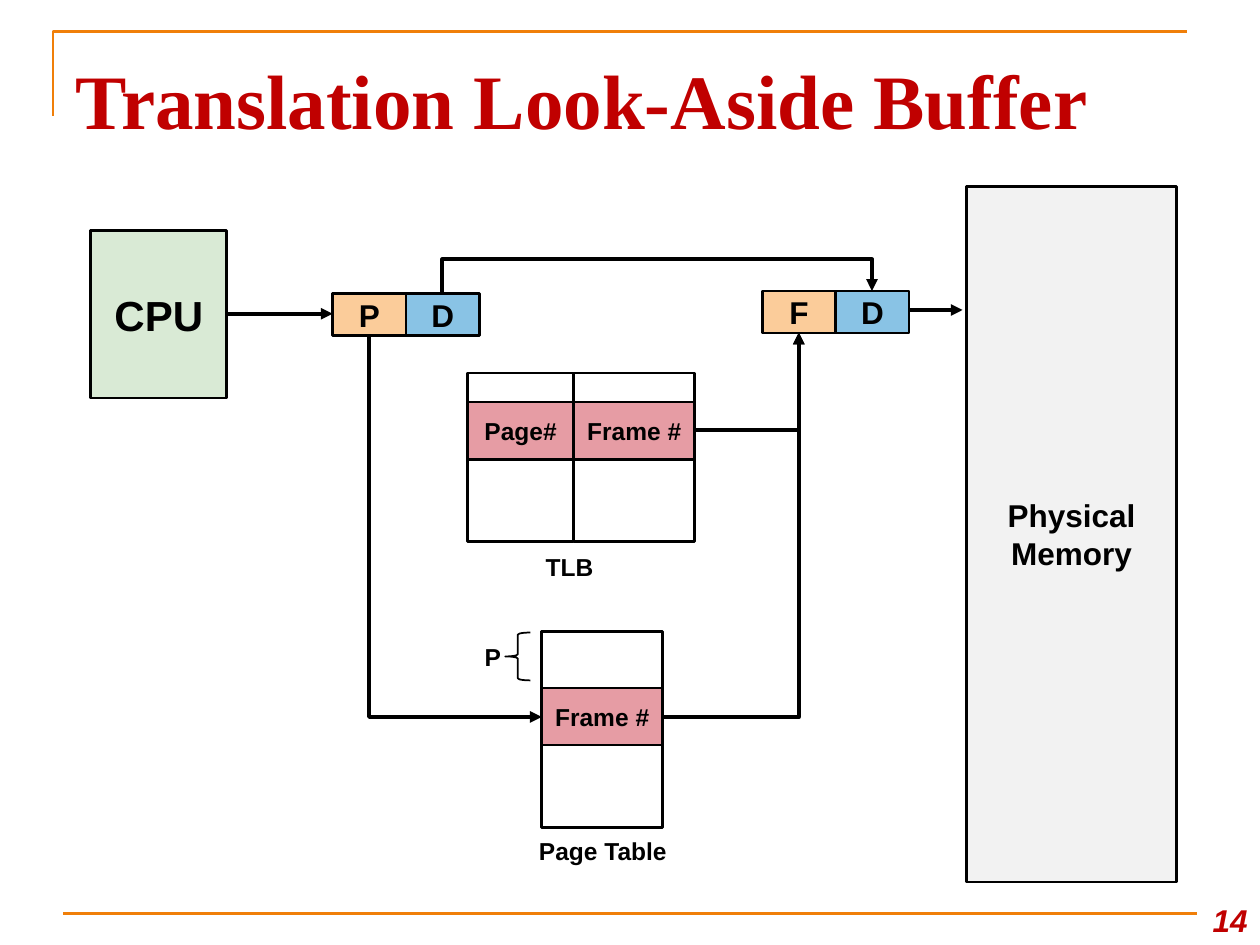
from lxml.etree import SubElement
from pptx import Presentation
from pptx.dml.color import RGBColor
from pptx.enum.shapes import MSO_CONNECTOR as Conn, MSO_SHAPE as Shape
from pptx.enum.text import MSO_ANCHOR as Anchor, PP_ALIGN as Align
from pptx.oxml.ns import qn
from pptx.util import Inches, Pt

BLACK, WHITE, RED, ORANGE = "000000", "FFFFFF", "C00000", "F07F09"
PEACH, BLUE, PINK, GREEN, GRAY = "FBCC9A", "89C3E5", "E69CA4", "D9EAD5", "F2F2F2"


def rgb(value):
    return RGBColor.from_string(value)


def grid(*cells):
    """Grid of 100 columns by 75 rows on a 10 x 7.5 inch slide."""
    return [Inches(c / 10) for c in cells]


class Diagram:
    font = "Arial"

    def __init__(self, slide):
        self.shapes = slide.shapes

    def set_text(self, sp, text, size, color=BLACK, align=Align.CENTER,
                 anchor=Anchor.MIDDLE, font=None, italic=False, inset=0.0, top=0.0):
        tf = sp.text_frame
        tf.word_wrap = True
        tf.vertical_anchor = anchor
        tf.margin_left = tf.margin_right = Inches(inset)
        tf.margin_top, tf.margin_bottom = Inches(top), Inches(inset / 2)
        p = tf.paragraphs[0]
        p.text, p.alignment = text, align
        f = p.font
        f.name, f.size, f.bold, f.italic = font or self.font, Pt(size), True, italic
        f.color.rgb = rgb(color)

    def label(self, x, y, w, h, text, size=14, **style):
        self.set_text(self.shapes.add_textbox(*grid(x, y, w, h)), text, size, **style)

    def outline(self, sp, color=BLACK, width=1.5):
        sp.line.color.rgb = rgb(color)
        sp.line.width = Pt(width)

    def box(self, x, y, w, h, fill, text="", size=14):
        sp = self.shapes.add_shape(Shape.RECTANGLE, *grid(x, y, w, h))
        sp.shadow.inherit = False
        sp.fill.solid()
        sp.fill.fore_color.rgb = rgb(fill)
        self.outline(sp)
        if text:
            self.set_text(sp, text, size)

    def brace(self, x, y, w, h):
        sp = self.shapes.add_shape(Shape.LEFT_BRACE, *grid(x, y, w, h))
        sp.shadow.inherit = False
        sp.fill.background()
        self.outline(sp, width=1)

    def corner(self, points):
        points = [grid(*pt) for pt in points]
        builder = self.shapes.build_freeform(*points[0])
        builder.add_line_segments(points[1:], close=False)
        sp = builder.convert_to_shape()
        sp.shadow.inherit = False
        sp.fill.background()
        self.outline(sp, ORANGE)

    def line(self, start, end, color=BLACK, width=2.25, head=True, kind=Conn.STRAIGHT):
        sp = self.shapes.add_connector(kind, *grid(*start, *end))
        self.outline(sp, color, width)
        if head:
            SubElement(sp.line._get_or_add_ln(), qn("a:tailEnd"), type="triangle")
        SubElement(sp._element.spPr, qn("a:effectLst"))
        return sp

    def elbow(self, start, end, down_first=False, bend=None):
        """One corner, or two when bend gives the row of the middle stretch."""
        (x1, y1), (x2, y2) = start, end
        if down_first:  # lay the route out sideways, then turn it by 90 degrees
            cx, cy = (x1 + x2) / 2, (y1 + y2) / 2
            start, end = [(cx + y - cy, cy - x + cx) for x, y in (start, end)]
        sp = self.line(start, end, kind=Conn.ELBOW)
        sp_pr = sp._element.spPr
        if down_first:
            sp_pr.find(qn("a:xfrm")).set("rot", str(90 * 60000))
        geom = sp_pr.find(qn("a:prstGeom"))
        if bend is None:
            geom.set("prst", "bentConnector2")
        else:
            share = round((bend - y1) / (y2 - y1) * 100000)
            SubElement(geom.find(qn("a:avLst")), qn("a:gd"),
                       name="adj1", fmla=f"val {share}")

    def address(self, x, y, number):
        """Page or frame number beside the offset."""
        for i, (text, fill) in enumerate([(number, PEACH), ("D", BLUE)]):
            self.box(x + i * 5.83, y, 5.83, 3.33, fill, text, 18)

    def column(self, x, y, w, h, entry_y, entry):
        """Table column with one highlighted entry."""
        self.box(x, y, w, h, WHITE)
        self.box(x, entry_y, w, 4.55, PINK, entry)


def main():
    prs = Presentation()
    prs.slide_width, prs.slide_height = Inches(10), Inches(7.5)
    d = Diagram(prs.slides.add_slide(prs.slide_layouts[6]))

    # Slide frame, title and number
    d.corner([(4.2, 9.2), (4.2, 2.5), (94.2, 2.5)])
    d.line((5, 72.5), (95, 72.5), ORANGE, 1.5, head=False)
    d.label(5, 3, 90, 7.8, "Translation Look-Aside Buffer", 44, color=RED,
            align=Align.LEFT, anchor=Anchor.TOP, font="Times New Roman",
            inset=0.1, top=0.12)
    d.label(94.2, 70, 5.8, 5, "14", 18, color=RED, align=Align.RIGHT,
            anchor=Anchor.BOTTOM, italic=True, inset=0.1)

    # CPU and logical address
    d.box(7.2, 18.3, 10.8, 13.3, GREEN, "CPU", 24)
    d.address(26.4, 23.3, "P")
    d.line((18, 24.9), (26.4, 24.9))

    # Physical address and memory
    d.box(76.7, 14.8, 16.7, 55.2, GRAY, "Physical Memory", 18)
    d.address(60.5, 23.1, "F")
    d.line((72.1, 24.6), (76.4, 24.6))
    d.elbow((35.1, 23.3), (69.2, 23.1), down_first=True, bend=20.6)

    # TLB
    frame_in = (63.4, 26.4)
    d.elbow((55.2, 34.1), frame_in)
    d.column(37.1, 29.6, 8.45, 13.4, 31.9, "Page#")
    d.column(45.55, 29.6, 9.6, 13.4, 31.9, "Frame #")
    d.label(39.7, 42.5, 11, 4.9, "TLB")

    # Page table
    d.elbow((52.6, 56.9), frame_in)
    d.column(43, 50.1, 9.6, 15.6, 54.6, "Frame #")
    d.label(40.7, 65.1, 14.3, 4.9, "Page Table")
    d.elbow((29.3, 26.6), (43, 56.9), down_first=True)
    d.brace(40.1, 50.2, 2, 3.8)
    d.label(36.2, 49.6, 5.8, 5.1, "P")

    prs.save("out.pptx")


if __name__ == "__main__":
    main()
